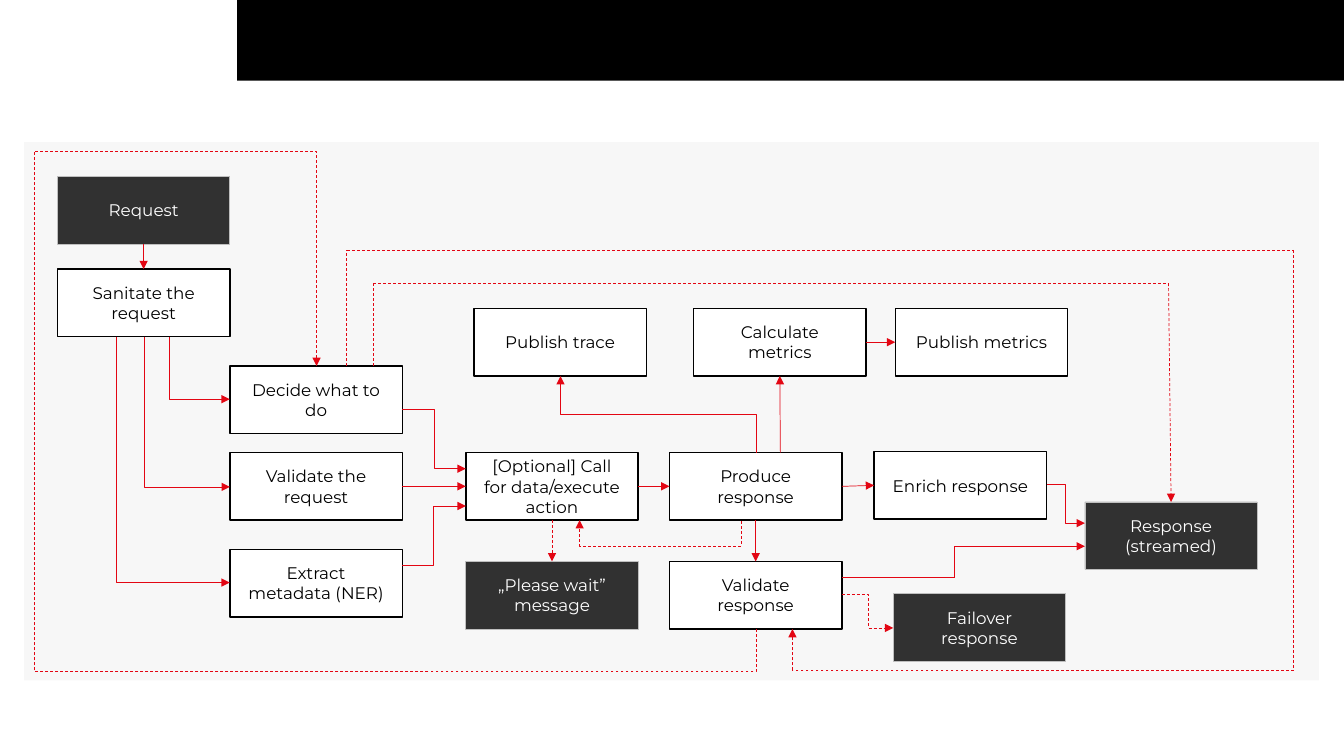
from itertools import pairwise

from lxml import etree
from pptx import Presentation
from pptx.dml.color import RGBColor
from pptx.enum.dml import MSO_LINE
from pptx.enum.shapes import MSO_CONNECTOR, MSO_SHAPE
from pptx.enum.text import MSO_ANCHOR, PP_ALIGN
from pptx.oxml.ns import qn
from pptx.util import Emu, Pt

SCALE = 9144  # EMU per px, 100 px to the inch
SLIDE_W, SLIDE_H = 1333, 750
BOX_W, BOX_H, INSET = 171, 67, 17
FONT = "Montserrat"
COLORS = {"black": "000000", "white": "FFFFFF", "panel": "F7F7F7",
          "edge": "BFBFBF", "arrow": "E30613"}
RECT = MSO_SHAPE.RECTANGLE
STRAIGHT, ELBOW = MSO_CONNECTOR.STRAIGHT, MSO_CONNECTOR.ELBOW
DASH = MSO_LINE.DASH
TOP, LEFT, BOTTOM, RIGHT = range(4)

# step: (label, left, top, is an input or output)
STEPS = {
    "request": ("Request", 57, 175, True),
    "sanitate": ("Sanitate the request", 57, 267, False),
    "decide": ("Decide what to do", 228, 363, False),
    "validate": ("Validate the request", 228, 449, False),
    "extract": ("Extract metadata (NER)", 228, 545, False),
    "call": ("[Optional] Call for data/execute action", 462, 449, False),
    "wait": ("„Please wait” message", 462, 557, True),
    "produce": ("Produce response", 664, 449, False),
    "check": ("Validate response", 664, 557, False),
    "trace": ("Publish trace", 470, 306, False),
    "calculate": ("Calculate metrics", 688, 306, False),
    "metrics": ("Publish metrics", 888, 306, False),
    "enrich": ("Enrich response", 867, 448, False),
    "response": ("Response (streamed)", 1076, 498, True),
    "failover": ("Failover response", 886, 589, True),
}
# straight arrows: (start, end, dashed); an end is (step, side) or a point
LINKS = [
    (("request", BOTTOM), ("sanitate", TOP), False),
    (("validate", RIGHT), ("call", LEFT), False),
    (("call", RIGHT), ("produce", LEFT), False),
    (("call", BOTTOM), ("wait", TOP), True),
    (("produce", RIGHT), ("enrich", LEFT), False),
    (("produce", BOTTOM), ("check", TOP), False),
    ((774, 449), ("calculate", BOTTOM), False),
    (("calculate", RIGHT), ("metrics", LEFT), False),
]
# elbow arrows: (corner points, dashed)
ELBOWS = [
    ([(168, 334), (168, 396), (228, 396)], False),
    ([(143, 334), (143, 483), (228, 483)], False),
    ([(115, 334), (115, 578), (228, 578)], False),
    ([(399, 406), (431, 406), (431, 465), (462, 465)], False),
    ([(399, 561), (430, 561), (430, 502), (462, 502)], False),
    ([(750, 449), (750, 411), (556, 411), (556, 373)], False),
    ([(1038, 481), (1057, 481), (1057, 519), (1076, 519)], False),
    ([(835, 590), (861, 590), (861, 623), (886, 623)], True),
    ([(735, 517), (735, 542), (575, 542), (575, 516)], True),
    ([(750, 624), (750, 666), (34, 666), (34, 150), (314, 150), (314, 363)], True),
]
# chains of straight lines: (stops, dashed)
CHAINS = [
    ([(370, 363), (370, 281), (1159, 281), ("response", TOP)], True),
    ([(344, 363), (344, 248), (1283, 248), (1283, 665), (786, 665), (786, 624)], True),
    ([(835, 573), (947, 573), (947, 542), (1076, 542)], False),
]


def px(value):
    return Emu(round(value * SCALE))


def rgb(name):
    return RGBColor.from_string(COLORS[name])


def add_rect(slide, left, top, width, height, fill, edge=None, weight=1):
    rect = slide.shapes.add_shape(RECT, px(left), px(top), px(width), px(height))
    rect.shadow.inherit = False
    rect.fill.solid()
    rect.fill.fore_color.rgb = rgb(fill)
    if edge:
        rect.line.color.rgb = rgb(edge)
        rect.line.width = Pt(weight)
    else:
        rect.line.fill.background()
    return rect


def add_step(slide, label, left, top, dark):
    look = ("black", "edge", 0.5) if dark else ("white", "black", 1)
    step = add_rect(slide, left, top, BOX_W, BOX_H, *look)
    if dark:
        color = step._element.spPr.find(f".//{qn('a:solidFill')}/{qn('a:srgbClr')}")
        etree.SubElement(color, qn("a:alpha"), val="80000")
    frame = step.text_frame
    frame.word_wrap = True
    frame.vertical_anchor = MSO_ANCHOR.MIDDLE
    frame.margin_left = frame.margin_right = px(INSET)
    frame.margin_top = frame.margin_bottom = px(INSET)
    text = frame.paragraphs[0]
    text.text = label
    text.alignment = PP_ALIGN.CENTER
    text.font.name = FONT
    text.font.size = Pt(12)
    text.font.color.rgb = rgb("white" if dark else "black")
    return step


def style_line(line, dashed, arrow=True):
    line.line.color.rgb = rgb("arrow")
    line.line.width = Pt(0.5)
    if dashed:
        line.line.dash_style = DASH
    if arrow:
        etree.SubElement(line.line._get_or_add_ln(), qn("a:tailEnd"), type="triangle")
    etree.SubElement(line._element.spPr, qn("a:effectLst"))


def add_link(slide, steps, start, end, dashed, arrow=True):
    """Draw a straight line, joined to a step wherever a side is named."""
    points = [(0, 0) if stop[0] in steps else stop for stop in (start, end)]
    link = slide.shapes.add_connector(STRAIGHT, *(px(v) for p in points for v in p))
    for stop, join in ((start, link.begin_connect), (end, link.end_connect)):
        if stop[0] in steps:
            join(steps[stop[0]], stop[1])
    style_line(link, dashed, arrow)


def add_elbow(slide, points, dashed):
    """Draw a bent arrow; one that starts vertically is a quarter turn of the preset."""
    start, end = points[0], points[-1]
    dx, dy = end[0] - start[0], end[1] - start[1]
    vertical = points[1][0] == start[0]
    width, height = (abs(dy), abs(dx)) if vertical else (abs(dx), abs(dy))
    left = (start[0] + end[0] - width) / 2
    top = (start[1] + end[1] - height) / 2
    elbow = slide.shapes.add_connector(
        ELBOW, px(left), px(top), px(left + width), px(top + height))
    xfrm = elbow._element.spPr.find(qn("a:xfrm"))
    flips = (dy < 0, dx > 0) if vertical else (dx < 0, dy < 0)
    for name, flipped in zip(("flipH", "flipV"), flips):
        if flipped:
            xfrm.set(name, "1")
    if vertical:
        xfrm.set("rot", "5400000")

    # Each inner corner sets one adjustment, on alternating axes
    geometry = elbow._element.spPr.find(qn("a:prstGeom"))
    bends = len(points) - 1
    geometry.set("prst", f"bentConnector{bends}")
    guides = geometry.find(qn("a:avLst"))
    for number in range(1, bends - 1):
        axis = (number - 1 + vertical) % 2
        share = (points[number][axis] - start[axis]) / (end[axis] - start[axis])
        name = "adj" if bends == 2 else f"adj{number}"
        etree.SubElement(guides, qn("a:gd"), name=name, fmla=f"val {round(share * 100000)}")
    style_line(elbow, dashed)


def add_backdrop(slide):
    # Black header band left free by a white page
    slide.background.fill.solid()
    slide.background.fill.fore_color.rgb = rgb("black")
    outline = slide.shapes.build_freeform(0, 0, scale=SCALE)
    outline.add_line_segments([(235, 0), (235, 80), (SLIDE_W, 80),
                               (SLIDE_W, SLIDE_H), (0, SLIDE_H)], close=True)
    page = outline.convert_to_shape()
    page.shadow.inherit = False
    page.fill.solid()
    page.fill.fore_color.rgb = rgb("white")
    page.line.fill.background()
    add_rect(slide, 24, 141, 1284, 534, "panel")


def main():
    deck = Presentation()
    deck.slide_width, deck.slide_height = px(SLIDE_W), px(SLIDE_H)
    slide = deck.slides.add_slide(deck.slide_layouts[6])
    add_backdrop(slide)
    steps = {key: add_step(slide, *step) for key, step in STEPS.items()}

    # Flow between the steps
    for start, end, dashed in LINKS:
        add_link(slide, steps, start, end, dashed)
    for points, dashed in ELBOWS:
        add_elbow(slide, points, dashed)
    for stops, dashed in CHAINS:
        for start, end in pairwise(stops):
            add_link(slide, steps, start, end, dashed, arrow=end == stops[-1])
    deck.save("out.pptx")


if __name__ == "__main__":
    main()
